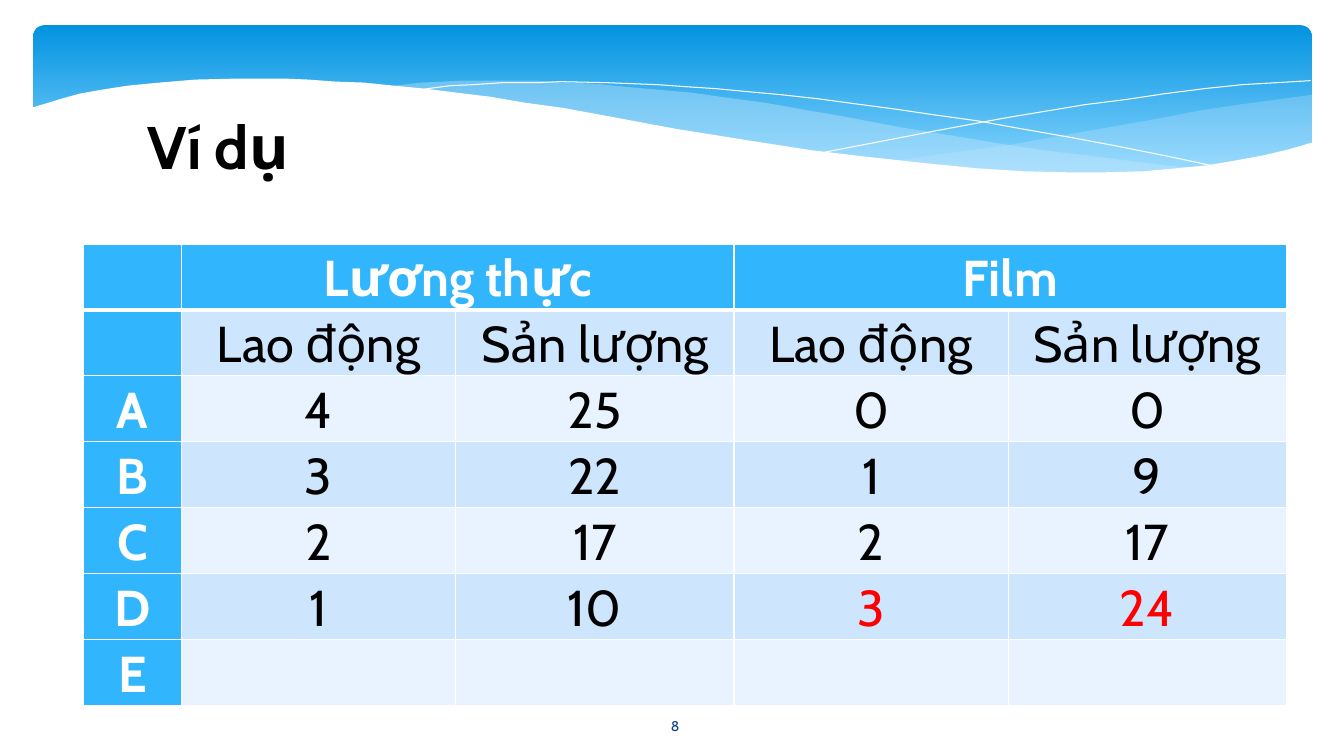
from lxml.etree import SubElement
from pptx import Presentation
from pptx.dml.color import RGBColor
from pptx.enum.shapes import MSO_SHAPE
from pptx.enum.text import MSO_ANCHOR, PP_ALIGN
from pptx.oxml import parse_xml
from pptx.oxml.ns import nsdecls, qn
from pptx.util import Inches, Pt

THEME = {
    "font": "Cabin",
    "white": "FFFFFF", "black": "000000", "red": "FF0000", "navy": "073E87",
    "sky_top": "0293E0", "sky_bottom": "83D3FE", "wave": "C6E7FC",
    "header": "31B6FD", "band_dark": "CEE5FE", "band_light": "E8F3FF",
    "title_size": 42.9, "table_size": 36, "number_size": 10,
}


def rgb(name):
    return RGBColor.from_string(THEME[name])


def write_text(tf, text, size, color, bold=False, **spacing):
    p = tf.paragraphs[0]
    for key, value in {"alignment": PP_ALIGN.CENTER, **spacing}.items():
        setattr(p, key, value)
    font = p.font
    if text:
        r = p.add_run()
        r.text = text
        font = r.font
    for key, value in {"name": THEME["font"], "size": Pt(THEME[size]), "bold": bold}.items():
        setattr(font, key, value)
    font.color.rgb = rgb(color)


prs = Presentation()
prs.slide_width, prs.slide_height = Inches(13.33), Inches(7.5)
s = prs.slides.add_slide(prs.slide_layouts[6])

sky = s.shapes.add_shape(MSO_SHAPE.ROUNDED_RECTANGLE, Inches(0.33), Inches(0.25), Inches(12.68), Inches(1.56))
sky.adjustments[0] = 0.071
sky.shadow.inherit = False
sky.line.fill.background()
sky.fill.gradient()
sky.fill.gradient_angle = 270
for stop, color, position in zip(sky.fill.gradient_stops, ("sky_top", "sky_bottom"), (0, 0.9)):
    stop.color.rgb = rgb(color)
    stop.position = position

right_wave = [
    (13.01, 0.94), (12.65, 0.99), (12.27, 1.04), (11.88, 1.1), (11.47, 1.18), (10.73, 1.31),
    (10.05, 1.43), (9.41, 1.52), (8.82, 1.6), (9.21, 1.64), (9.58, 1.67), (9.93, 1.69),
    (10.25, 1.71), (10.56, 1.72), (10.99, 1.72), (11.26, 1.71), (11.51, 1.7), (11.74, 1.67),
    (11.96, 1.65), (12.18, 1.62), (12.38, 1.58), (12.57, 1.54), (12.84, 1.47), (13.01, 1.42),
]
middle_wave = [
    (11.9, 1.67), (11.54, 1.64), (11.16, 1.59), (10.76, 1.54), (10.34, 1.49), (9.89, 1.42),
    (9.41, 1.34), (8.91, 1.26), (8.39, 1.16), (7.98, 1.09), (7.59, 1.02), (7.21, 0.97),
    (6.86, 0.92), (6.52, 0.89), (6.19, 0.86), (5.89, 0.83), (5.6, 0.82), (5.32, 0.8),
    (4.82, 0.8), (4.59, 0.8), (4.18, 0.82), (3.82, 0.86), (4.31, 0.9), (4.83, 0.97),
    (5.39, 1.06), (5.99, 1.16), (6.54, 1.26), (7.06, 1.35), (7.55, 1.43), (8.02, 1.5),
    (8.46, 1.56), (8.87, 1.61), (9.26, 1.65), (9.63, 1.68), (9.98, 1.7), (10.3, 1.72),
    (10.61, 1.73), (11.04, 1.73), (11.31, 1.72), (11.56, 1.7), (11.79, 1.68),
]
falling_line = [
    (4.12, 0.9), (4.24, 0.88), (4.47, 0.85), (4.7, 0.84), (4.99, 0.82), (5.35, 0.82),
    (5.55, 0.81), (6, 0.82), (6.52, 0.84), (6.8, 0.86), (7.1, 0.88), (7.42, 0.91),
    (7.75, 0.94), (8.11, 0.98), (8.48, 1.03), (8.86, 1.08), (9.27, 1.14), (9.7, 1.2),
    (10.14, 1.28), (10.6, 1.36), (11.08, 1.45), (11.58, 1.55), (12.1, 1.66),
]
rising_line = [
    (8.18, 1.51), (8.7, 1.41), (9.27, 1.3), (9.97, 1.17), (10.75, 1.04), (11.15, 0.99),
    (11.55, 0.93), (11.94, 0.88), (12.32, 0.84), (12.67, 0.82), (13, 0.8),
]
white_wave = [
    (13.03, 1.41), (12.79, 1.48), (12.54, 1.54), (12.27, 1.59), (11.98, 1.64), (11.67, 1.67),
    (11.34, 1.7), (10.97, 1.71), (10.58, 1.71), (10.15, 1.7), (9.69, 1.67), (9.18, 1.62),
    (8.63, 1.56), (8.04, 1.49), (7.4, 1.39), (6.71, 1.28), (5.96, 1.14), (5.58, 1.07),
    (5.21, 1.02), (4.86, 0.96), (4.53, 0.92), (4.21, 0.88), (3.9, 0.85), (3.61, 0.82),
    (3.33, 0.81), (3.06, 0.79), (2.82, 0.78), (2.35, 0.78), (1.94, 0.79), (1.58, 0.82),
    (1.27, 0.85), (1.01, 0.89), (0.79, 0.93), (0.61, 0.98), (0.48, 1.02), (0.31, 1.07),
    (0.31, 2.24), (13.03, 2.24),
]
waves = [
    (right_wave, "wave", 29), (middle_wave, "wave", 40),
    (falling_line, None, None), (rising_line, None, None), (white_wave, "white", 100),
]
for points, color, opacity in waves:
    start, *rest = [(Inches(x), Inches(y)) for x, y in points]
    builder = s.shapes.build_freeform(*start)
    builder.add_line_segments(rest, close=color is not None)
    sp = builder.convert_to_shape()
    sp.shadow.inherit = False
    if color:
        sp.fill.solid()
        sp.fill.fore_color.rgb = rgb(color)
        sp.line.fill.background()
        if opacity < 100:
            clr = sp.element.spPr.find(qn("a:solidFill")).find(qn("a:srgbClr"))
            SubElement(clr, qn("a:alpha")).set("val", str(opacity * 1000))
    else:
        sp.fill.background()
        sp.line.color.rgb = rgb("white")
        sp.line.width = Pt(0)

labels = [
    ((5.85, 7, 1.69, 0.4), "8", "number_size", "navy", False, MSO_ANCHOR.MIDDLE),
    ((0.04, 1.04, 4.25, 1.37), "Ví dụ", "title_size", "black", True, MSO_ANCHOR.TOP),
]
for box, text, size, color, bold, anchor in labels:
    tf = s.shapes.add_textbox(*map(Inches, box)).text_frame
    tf.word_wrap = True
    tf.vertical_anchor = anchor
    write_text(tf, text, size, color, bold)

rows = [
    ["", "Lương thực", "", "Film", ""],
    ["", "Lao động", "Sản lượng", "Lao động", "Sản lượng"],
    ["A", "4", "25", "0", "0"],
    ["B", "3", "22", "1", "9"],
    ["C", "2", "17", "2", "17"],
    ["D", "1", "10", "3", "24"],
    ["E", "", "", "", ""],
]
widths = [0.97, 2.72, 2.76, 2.72, 2.76]
red_cells = {(5, 3), (5, 4)}
margins = {"margin_left": Inches(0.07), "margin_right": Inches(0.07), "margin_top": 0, "margin_bottom": 0}

table = s.shapes.add_table(
    len(rows), len(widths), Inches(0.83), Inches(2.42), Inches(sum(widths)), Inches(4.58)
).table
for column, width in zip(table.columns, widths):
    column.width = Inches(width)
for left in (1, 3):
    table.cell(0, left).merge(table.cell(0, left + 1))

for i, row in enumerate(rows):
    for j, text in enumerate(row):
        cell = table.cell(i, j)
        header = i == 0 or j == 0
        for key, value in margins.items():
            setattr(cell, key, value)
        cell.fill.solid()
        cell.fill.fore_color.rgb = rgb("header" if header else "band_dark" if i % 2 else "band_light")
        color = "white" if header else "red" if (i, j) in red_cells else "black"
        write_text(cell.text_frame, text, "table_size", color, header, line_spacing=1.07, space_after=Pt(8))
        tcPr = cell._tc.get_or_add_tcPr()
        for k, side in enumerate("LRTB"):
            thick = (i, side) in ((0, "B"), (1, "T"))
            tcPr.insert(k, parse_xml(
                f'<a:ln{side} {nsdecls("a")} w="{Pt(3 if thick else 1)}"><a:solidFill>'
                f'<a:srgbClr val="{THEME["white"]}"/></a:solidFill></a:ln{side}>'
            ))

prs.save("out.pptx")
